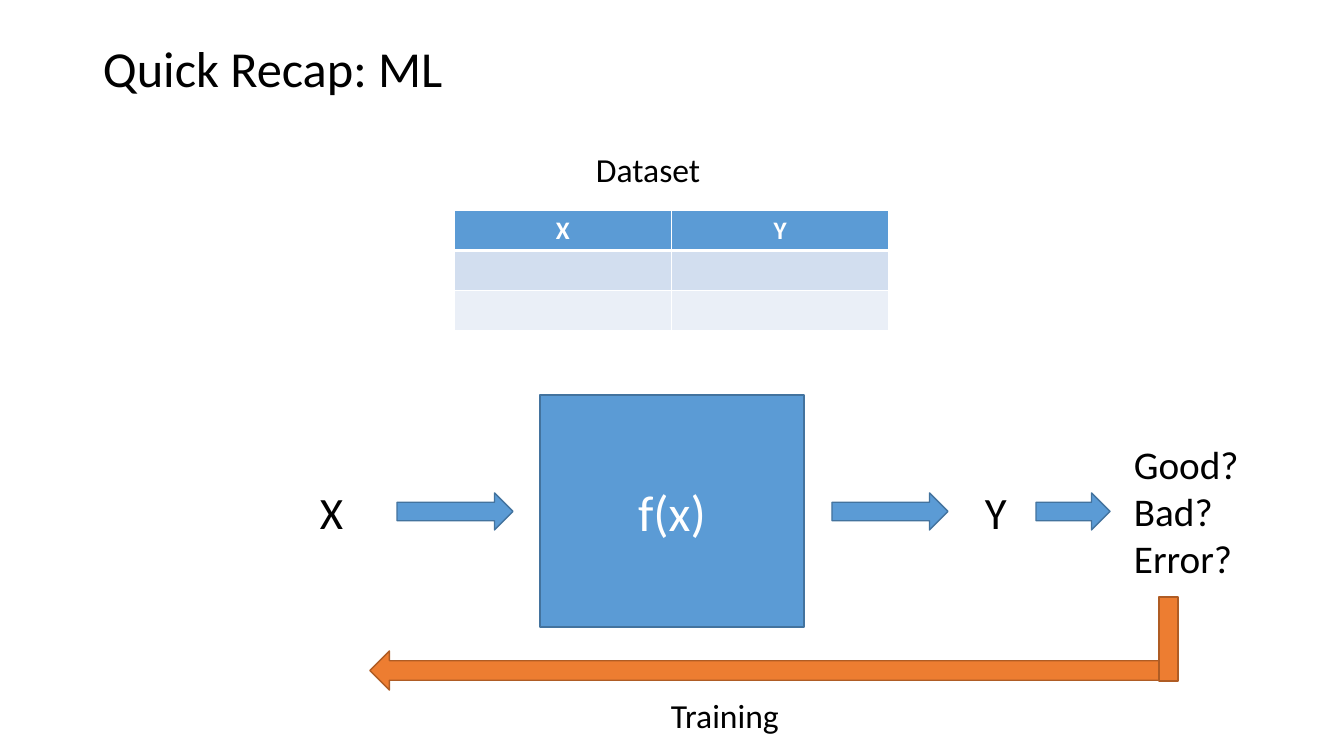
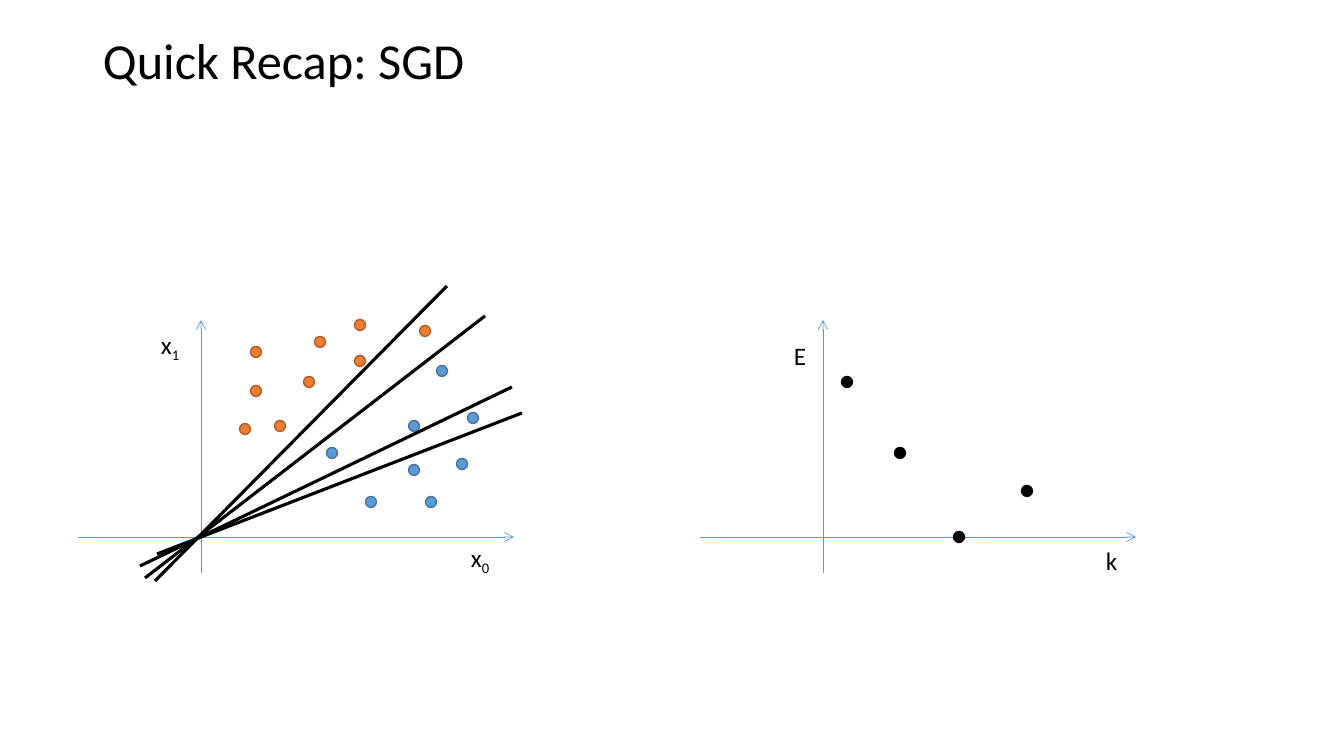
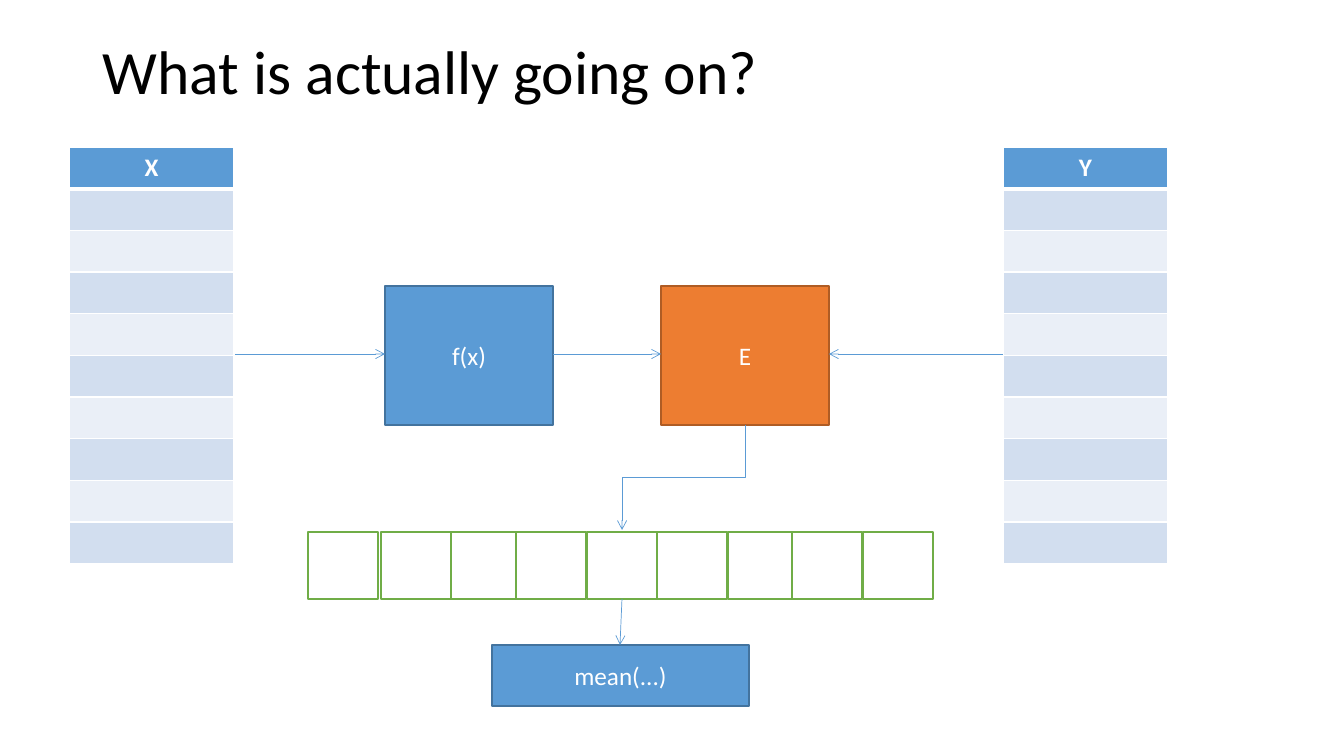
from lxml import etree
from pptx import Presentation
from pptx import util as u
from pptx.dml.color import RGBColor
from pptx.enum import shapes, text
from pptx.oxml import ns

SCALE = 914400 / 100.8
WIDTH, HEIGHT = 1344, 756
FONT = "Calibri"
COLORS = {
    "black": "000000", "white": "FFFFFF",
    "blue": "5B9BD5", "blue_edge": "43739E",
    "orange": "ED7D31", "orange_edge": "AF5C24",
    "green_edge": "70AD47",
    "band_dark": "D2DEEF", "band_light": "EAEFF7",
}
EDGES = {"blue": "blue_edge", "orange": "orange_edge",
         "white": "green_edge", "black": "black"}
SHAPE = shapes.MSO_SHAPE
CENTER = text.PP_ALIGN.CENTER
MIDDLE = text.MSO_ANCHOR.MIDDLE


def px(length):
    """Turn pixels into EMU."""
    return u.Emu(round(length * SCALE))


def rgb(name):
    """Look up a colour by name."""
    return RGBColor.from_string(COLORS[name])


def child(parent, tag, **attributes):
    """Append a drawing element to an XML parent."""
    return etree.SubElement(parent, ns.qn("a:" + tag), attributes)


def write(frame, content, size=18, color="black", bold=False, align=None,
          spacing=None, subscript=None):
    """Fill a text frame, one paragraph per line, with an optional subscript."""
    for index, line in enumerate(content.split("\n")):
        para = frame.add_paragraph() if index else frame.paragraphs[0]
        para.alignment = align
        para.line_spacing = spacing
        for part in filter(None, (line, subscript)):
            span = para.add_run()
            span.text = part
            span.font.name = FONT
            span.font.size = u.Pt(size)
            span.font.bold = bold
            span.font.color.rgb = rgb(color)
    if subscript:
        span.font._element.set("baseline", "-25000")


class Painter:
    """Holds the deck, its style and the current slide."""

    def __init__(self):
        """Start an empty widescreen deck."""
        self.deck = Presentation()
        self.deck.slide_width, self.deck.slide_height = px(WIDTH), px(HEIGHT)
        self.page = None

    def slide(self, title, top, size=36):
        """Add a blank slide with a title."""
        self.page = self.deck.slides.add_slide(self.deck.slide_layouts[6])
        self.label(title, 93, top, 1159, 146, size=size, anchor=MIDDLE,
                   spacing=0.9)

    def label(self, content, left, top, width, height, anchor=None, **style):
        """Add a text box."""
        box = self.page.shapes.add_textbox(px(left), px(top), px(width),
                                           px(height))
        box.text_frame.word_wrap = True
        box.text_frame.vertical_anchor = anchor
        write(box.text_frame, content, **style)

    def block(self, kind, left, top, width, height, fill="blue", content="",
              size=18):
        """Add a filled, outlined shape with centred text."""
        box = self.page.shapes.add_shape(kind, px(left), px(top), px(width),
                                         px(height))
        box.shadow.inherit = False
        box.fill.solid()
        box.fill.fore_color.rgb = rgb(fill)
        box.line.color.rgb = rgb(EDGES[fill])
        box.line.width = u.Pt(1)
        if content:
            box.text_frame.vertical_anchor = MIDDLE
            write(box.text_frame, content, size=size, color="white",
                  align=CENTER)

    def dots(self, centers, fill):
        """Add a round marker at each centre."""
        size = 11
        for x, y in centers:
            self.block(SHAPE.OVAL, x - size / 2, y - size / 2, size, size, fill)

    def line(self, x1, y1, x2, y2, color="blue", weight=0.5, arrow=True,
             kind=shapes.MSO_CONNECTOR.STRAIGHT):
        """Add a connector, with an arrowhead at its end by default."""
        link = self.page.shapes.add_connector(kind, px(x1), px(y1), px(x2),
                                              px(y2))
        link.line.color.rgb = rgb(color)
        link.line.width = u.Pt(weight)
        if arrow:
            child(link.line._get_or_add_ln(), "tailEnd", type="arrow")
        child(link._element.spPr, "effectLst")
        return link

    def elbow_down(self, x1, y1, x2, y2):
        """Add an arrow that runs down, left and down again."""
        mid_x, mid_y = (x1 + x2) / 2, (y1 + y2) / 2
        half_w, half_h = (y2 - y1) / 2, (x1 - x2) / 2
        link = self.line(mid_x - half_w, mid_y - half_h,
                         mid_x + half_w, mid_y + half_h,
                         kind=shapes.MSO_CONNECTOR.ELBOW)
        link._element.spPr.find(ns.qn("a:xfrm")).set("rot", "5400000")

    def table(self, headers, rows, left, top, width, height):
        """Add a banded table with a header row and empty body rows."""
        grid = self.page.shapes.add_table(rows, len(headers), px(left), px(top),
                                          px(width), px(height)).table
        for row in range(rows):
            for column, header in enumerate(headers):
                cell = grid.cell(row, column)
                fill = "band_dark" if row % 2 else "band_light"
                if row == 0:
                    fill = "blue"
                    write(cell.text_frame, header, color="white", bold=True,
                          align=CENTER)
                self.borders(cell, top=3 if row == 1 else 1,
                             bottom=3 if row == 0 else 1)
                cell.fill.solid()
                cell.fill.fore_color.rgb = rgb(fill)

    def borders(self, cell, top, bottom):
        """Draw white borders around a cell."""
        properties = cell._tc.get_or_add_tcPr()
        for side, weight in zip("LRTB", (1, 1, top, bottom)):
            edge = child(properties, "ln" + side, w=str(u.Pt(weight)))
            child(child(edge, "solidFill"), "srgbClr", val=COLORS["white"])


def recap_ml(painter):
    """Draw the training loop."""
    painter.slide("Quick Recap: ML", -2)
    painter.block(SHAPE.RECTANGLE, 540, 395, 264, 232, content="f(x)", size=36)
    painter.label("X", 310, 480, 59, 64, size=32)
    painter.label("Y", 975, 480, 46, 64, size=32)
    painter.table(["X", "Y"], 3, 454, 210, 435, 121)
    for left, width in ((397, 116), (832, 116), (1036, 74)):
        painter.block(SHAPE.RIGHT_ARROW, left, 493, width, 37)
    painter.label("Good?\nBad?\nError?", 1124, 435, 176, 152, size=28)
    painter.block(SHAPE.LEFT_ARROW, 370, 651, 789, 39, "orange")
    painter.block(SHAPE.RECTANGLE, 1159, 597, 19, 84, "orange")
    painter.label("Dataset", 586, 144, 173, 50, size=24)
    painter.label("Training", 661, 690, 169, 50, size=24)


def recap_sgd(painter):
    """Draw the separating lines beside the error plot."""
    painter.slide("Quick Recap: SGD", -10)
    for origin in (201, 823):
        painter.line(origin, 573, origin, 320)
        painter.line(origin - 123, 537, origin + 313, 537)
    painter.dots([(414, 426), (332, 453), (462, 464), (442, 371), (431, 502),
                  (371, 502), (473, 418), (414, 470)], "blue")
    painter.dots([(256, 391), (320, 342), (256, 352), (280, 426), (309, 382),
                  (360, 361), (425, 331), (245, 429), (360, 325)], "orange")
    painter.dots([(847, 382), (900, 453), (959, 537), (1027, 491)], "black")
    for ends in ((157, 554, 522, 413), (140, 566, 512, 387),
                 (145, 578, 485, 316), (155, 581, 447, 286)):
        painter.line(*ends, color="black", weight=2.25, arrow=False)
    painter.label("x", 461, 537, 62, 40, subscript="0")
    painter.label("x", 151, 324, 62, 40, subscript="1")
    painter.label("k", 1096, 540, 42, 40)
    painter.label("E", 784, 335, 41, 40)


def what_happens(painter):
    """Draw the flow from data to mean error."""
    painter.slide("What is actually going on?", 2, size=44)
    for header, left in (("X", 69), ("Y", 1003)):
        painter.table([header], 10, left, 147, 165, 417)
    painter.block(SHAPE.RECTANGLE, 385, 286, 168, 139, content="f(x)")
    painter.block(SHAPE.RECTANGLE, 661, 286, 168, 139, "orange", "E")
    for start, end in ((235, 385), (553, 661), (1003, 829)):
        painter.line(start, 354, end, 354)
    for left in (308, 381, 451, 516, 587, 657, 728, 792, 863):
        painter.block(SHAPE.RECTANGLE, left, 532, 70, 67, "white")
    painter.elbow_down(745, 425, 622, 530)
    painter.block(SHAPE.RECTANGLE, 492, 645, 257, 61, content="mean(...)")
    painter.line(622, 599, 620, 645)


def main():
    """Build and save the deck."""
    painter = Painter()
    for draw in (recap_ml, recap_sgd, what_happens):
        draw(painter)
    painter.deck.save("out.pptx")


main()
